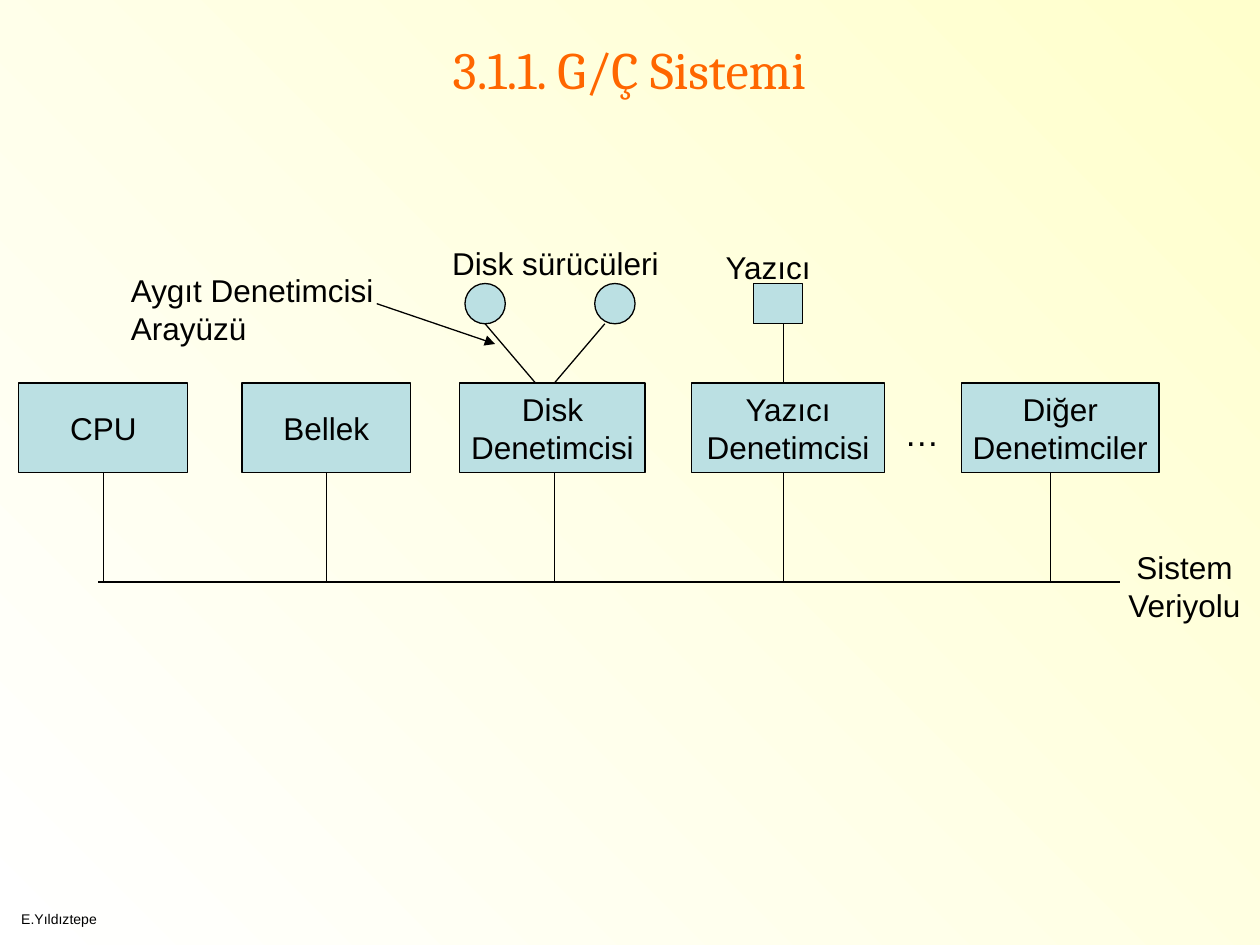
import pptx
import pptx.dml.color
import pptx.enum.shapes
import pptx.enum.text
import pptx.oxml
import pptx.oxml.ns
import pptx.util

Inches = pptx.util.Inches
SHAPE = pptx.enum.shapes.MSO_SHAPE
ALIGN = pptx.enum.text.PP_ALIGN
ANCHOR = pptx.enum.text.MSO_ANCHOR


def rgb(color):
    return pptx.dml.color.RGBColor.from_string(color)


def write(sp, text, size=18, font="Arial", color="000000", align=ALIGN.LEFT,
          anchor=ANCHOR.TOP, wrap=True):
    """Fill a shape with text, one paragraph per line."""
    tf = sp.text_frame
    tf.word_wrap = wrap
    tf.vertical_anchor = anchor
    for i, line in enumerate(text.split("\n")):
        p = tf.paragraphs[0] if i == 0 else tf.add_paragraph()
        p.alignment = align
        r = p.add_run()
        r.text = line
        r.font.size = pptx.util.Pt(size)
        r.font.name = font
        r.font.color.rgb = rgb(color)


prs = pptx.Presentation()
prs.slide_width, prs.slide_height = Inches(10), Inches(7.5)
s = prs.slides.add_slide(prs.slide_layouts[6])

fill = s.background.fill
fill.gradient()
fill.gradient_angle = 45
for stop, position, color in zip(fill.gradient_stops, (0, 1), ("FFFFFF", "FFFFCC")):
    stop.position = position
    stop.color.rgb = rgb(color)

# Rows of the diagram
device_top, device_height = 2.25, 0.32
device_bottom = device_top + device_height
box_top, box_height = 3.04, 0.71
box_bottom = box_top + box_height
bus_y = 4.62

# Components and devices
rect, ellipse = SHAPE.RECTANGLE, SHAPE.OVAL
nodes = [
    (rect, 0.15, box_top, 1.34, box_height, "CPU"),
    (rect, 1.92, box_top, 1.34, box_height, "Bellek"),
    (rect, 3.65, box_top, 1.47, box_height, "Disk\nDenetimcisi"),
    (rect, 5.49, box_top, 1.53, box_height, "Yazıcı\nDenetimcisi"),
    (rect, 7.63, box_top, 1.57, box_height, "Diğer\nDenetimciler"),
    (ellipse, 3.69, device_top, 0.32, device_height, ""),
    (ellipse, 4.72, device_top, 0.32, device_height, ""),
    (rect, 5.98, device_top, 0.39, device_height, ""),
]
for kind, x, y, w, h, text in nodes:
    sp = s.shapes.add_shape(kind, Inches(x), Inches(y), Inches(w), Inches(h))
    sp.shadow.inherit = False
    sp.fill.solid()
    sp.fill.fore_color.rgb = rgb("BBE0E3")
    sp.line.color.rgb = rgb("000000")
    sp.line.width = pptx.util.Pt(0.75)
    if text:
        write(sp, text, align=ALIGN.CENTER, anchor=ANCHOR.MIDDLE, wrap=False)

# Bus, its drops, device links and the pointer arrow
lines = [(0.78, bus_y, 8.89, bus_y)]
lines += [(x, box_bottom, x, bus_y) for x in (0.82, 2.59, 4.4, 6.22, 8.34)]
lines += [
    (3.85, device_bottom, 4.25, box_top),
    (4.8, device_bottom, 4.4, box_top),
    (6.22, device_bottom, 6.22, box_top),
]
pointer = (2.99, 2.41, 3.93, 2.73)
for ends in lines + [pointer]:
    line = s.shapes.add_connector(pptx.enum.shapes.MSO_CONNECTOR.STRAIGHT,
                                  *[Inches(v) for v in ends])
    line.line.color.rgb = rgb("000000")
    line.line.width = pptx.util.Pt(0.75)
    if ends == pointer:
        line.line._get_or_add_ln().append(pptx.oxml.parse_xml(
            f'<a:tailEnd {pptx.oxml.ns.nsdecls("a")} type="triangle"/>'))
    line._element.spPr.append(pptx.oxml.parse_xml(
        f'<a:effectLst {pptx.oxml.ns.nsdecls("a")}/>'))

# Title, labels and footer
labels = [
    (0.27, 0.09, 9.45, 0.91, "3.1.1. G/Ç Sistemi",
     dict(size=30, font="Cambria", color="FF6600", align=ALIGN.CENTER,
          anchor=ANCHOR.MIDDLE)),
    (3.49, 1.89, 1.89, 0.4, "Disk sürücüleri", {}),
    (5.66, 1.92, 1.58, 0.4, "Yazıcı", {}),
    (0.94, 2.1, 2.2, 0.7, "Aygıt Denetimcisi Arayüzü", {}),
    (7.08, 3.22, 0.47, 0.44, "…", dict(size=20)),
    (8.84, 4.3, 1.12, 0.7, "Sistem Veriyolu", dict(align=ALIGN.CENTER)),
    (0.07, 7.18, 2.33, 0.16, "E.Yıldıztepe", dict(size=8)),
]
for x, y, w, h, text, style in labels:
    sp = s.shapes.add_textbox(Inches(x), Inches(y), Inches(w), Inches(h))
    write(sp, text, **style)

prs.save("out.pptx")
